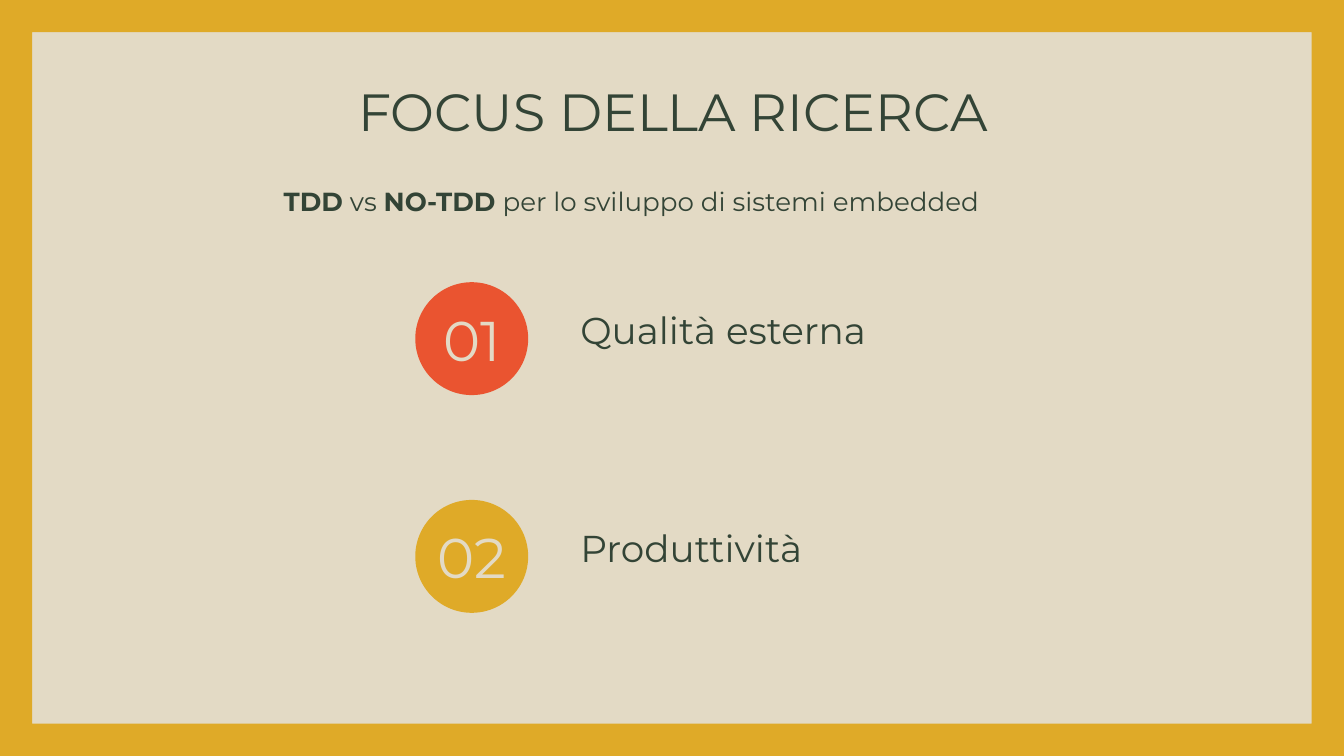
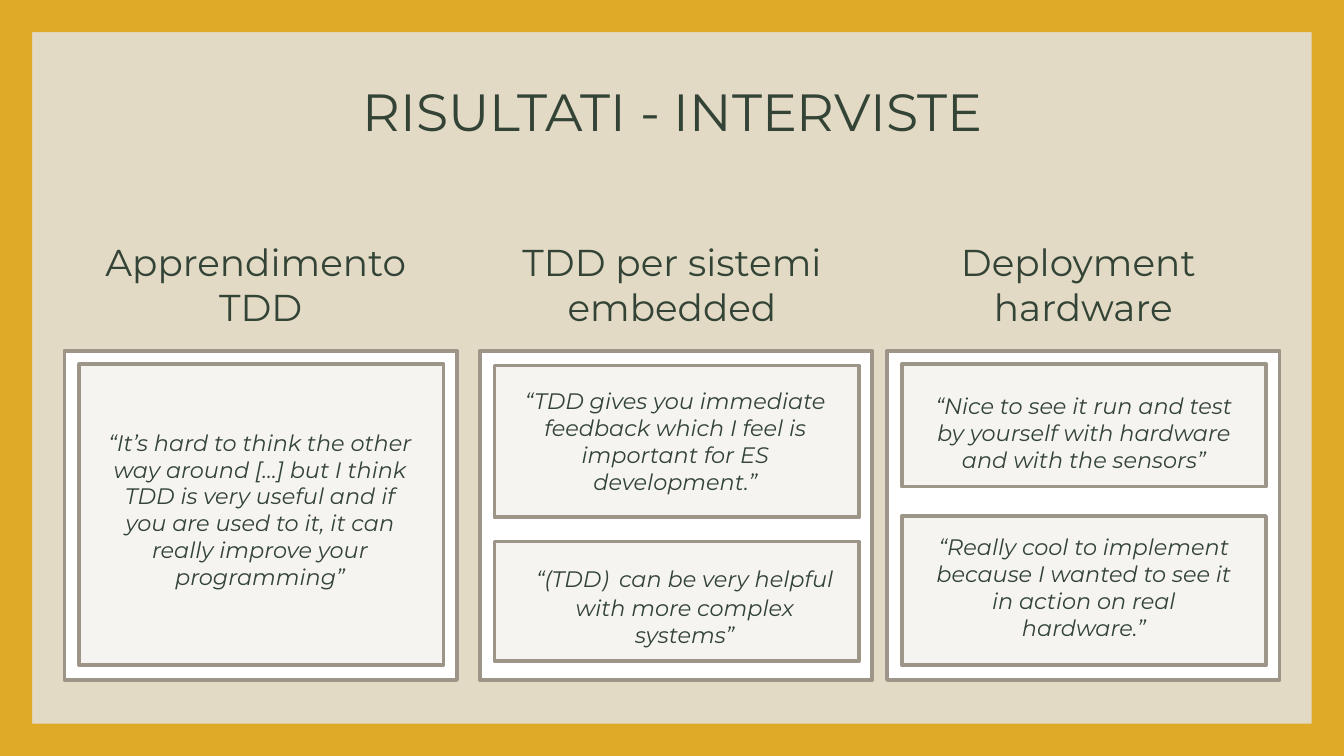
"""Build two slides on the TDD study: research focus and interview results."""
from pptx import Presentation
from pptx.dml.color import RGBColor
from pptx.enum.shapes import MSO_SHAPE
from pptx.enum.text import MSO_ANCHOR, PP_ALIGN
from pptx.util import Inches, Pt

RECTANGLE, CIRCLE, FRAME = MSO_SHAPE.RECTANGLE, MSO_SHAPE.OVAL, MSO_SHAPE.FRAME
TOP, MIDDLE, BOTTOM = MSO_ANCHOR.TOP, MSO_ANCHOR.MIDDLE, MSO_ANCHOR.BOTTOM
LEFT, CENTER = PP_ALIGN.LEFT, PP_ALIGN.CENTER

FONT = "Montserrat"
COLORS = {
    "sand": "E3DAC5",
    "gold": "DFAA28",
    "coral": "EA5430",
    "ink": "334436",
    "white": "FFFFFF",
    "quote": "F6F4F1",
    "border": "9D9587",
}
SLIDE_W = 10
SLIDE_H = SLIDE_W * 9 / 16
FRAME_WIDTH = 0.24
BADGE_SIZE = 0.84
COLUMN_W, PANEL_TOP, PANEL_H = 2.92, 2.61, 2.45
QUOTE_INSET, QUOTE_W, QUOTE_TEXT_W = 0.11, 2.71, 2.51

FOCUS_POINTS = [
    ("01", "Qualità esterna", "coral", 2.1),
    ("02", "Produttività", "gold", 3.72),
]

# Column: heading left, panel left, heading paragraphs, quotes.
# Quote: card top, card height, text left, text top, text height, runs.
INTERVIEWS = [
    (0.48, 0.48, ["Apprendimento ", "TDD"], [
        (2.71, 2.24, 0.68, 3.09, 1.38, [
            ("“It’s hard to think the other way around […] but I think TDD is very "
             "useful and if you are used to it, it can really improve your "
             "programming”", {})]),
    ]),
    (3.54, 3.57, ["TDD per sistemi embedded"], [
        (2.72, 1.13, 3.77, 2.78, 0.92, [
            ("“TDD gives you immediate feedback which I feel is important for ES "
             "development.”", {})]),
        (4.03, 0.89, 3.84, 3.99, 0.86, [
            ("“(TDD)", {}),
            (" ", {"size": 20, "italic": False}),
            ("can be very helpful with more complex systems”", {})]),
    ]),
    (6.6, 6.6, ["Deployment ", "hardware"], [
        (2.71, 0.91, 6.81, 2.82, 0.78, [
            ("“Nice to see it run and test by yourself with hardware and with the "
             "sensors”", {})]),
        (3.84, 1.11, 6.81, 3.87, 0.89, [
            ("“Really cool to implement because I wanted to see it in action on "
             "real hardware.”", {})]),
    ]),
]


def rgb(name):
    """Return the palette colour with this name."""
    return RGBColor.from_string(COLORS[name])


def write(frame, paragraphs, size, color="ink", align=CENTER, anchor=TOP,
          italic=False, side_inset=0.1):
    """Fill a text frame with paragraphs, each a list of (text, style) runs."""
    frame.word_wrap = True
    frame.vertical_anchor = anchor
    frame.margin_left = frame.margin_right = Inches(side_inset)
    frame.margin_top = frame.margin_bottom = Inches(0.1)
    for index, runs in enumerate(paragraphs):
        paragraph = frame.add_paragraph() if index else frame.paragraphs[0]
        paragraph.alignment = align
        for text, style in runs:
            run = paragraph.add_run()
            run.text = text
            run.font.name = FONT
            run.font.size = Pt(style.get("size", size))
            run.font.bold = style.get("bold", False)
            run.font.italic = style.get("italic", italic)
            run.font.color.rgb = rgb(color)


def add_text(slide, box, paragraphs, size, **options):
    """Add a text box at box = (left, top, width, height)."""
    textbox = slide.shapes.add_textbox(*map(Inches, box))
    write(textbox.text_frame, paragraphs, size, **options)


def add_block(slide, kind, box, fill, border=None):
    """Add a flat preset shape, outlined only when a border colour is given."""
    block = slide.shapes.add_shape(kind, *map(Inches, box))
    block.shadow.inherit = False
    block.fill.solid()
    block.fill.fore_color.rgb = rgb(fill)
    if border:
        block.line.color.rgb = rgb(border)
        block.line.width = Pt(2)
    else:
        block.line.fill.background()
    return block


def add_framed_slide(deck, title):
    """Add a slide with the sand background, gold frame and centred title."""
    slide = deck.slides.add_slide(deck.slide_layouts[6])
    slide.background.fill.solid()
    slide.background.fill.fore_color.rgb = rgb("sand")
    frame = add_block(slide, FRAME, (0, 0, SLIDE_W, SLIDE_H), "gold")
    frame.adjustments[0] = FRAME_WIDTH / SLIDE_H
    add_text(slide, (0.79, 0.49, 8.43, 0.63), [[(title, {})]], 28)
    return slide


def add_focus_point(slide, number, label, fill, top):
    """Add a numbered badge with its label to the right."""
    badge = add_block(slide, CIRCLE, (3.09, top, BADGE_SIZE, BADGE_SIZE), fill)
    write(badge.text_frame, [[(number, {})]], 30, color="sand", anchor=MIDDLE,
          side_inset=0)
    add_text(slide, (4.22, top + 0.22, 5.73, 0.4), [[(label, {})]], 20,
             align=LEFT, anchor=BOTTOM)


def add_interview_column(slide, heading_left, panel_left, heading, quotes):
    """Add a heading above a white panel of quote cards."""
    add_text(slide, (heading_left, 1.8, COLUMN_W, 0.63),
             [[(line, {})] for line in heading], 20, anchor=MIDDLE)
    add_block(slide, RECTANGLE, (panel_left, PANEL_TOP, COLUMN_W, PANEL_H),
              "white", "border")
    for card_top, card_h, text_left, text_top, text_h, runs in quotes:
        add_block(slide, RECTANGLE,
                  (panel_left + QUOTE_INSET, card_top, QUOTE_W, card_h),
                  "quote", "border")
        add_text(slide, (text_left, text_top, QUOTE_TEXT_W, text_h), [runs], 12,
                 italic=True)


def build_focus(deck):
    """Build the research focus slide."""
    slide = add_framed_slide(deck, "FOCUS DELLA RICERCA")
    for point in FOCUS_POINTS:
        add_focus_point(slide, *point)
    comparison = [
        ("TDD", {"bold": True}),
        (" vs ", {}),
        ("NO-TDD", {"bold": True}),
        (" per lo sviluppo di sistemi embedded", {}),
    ]
    add_text(slide, (0.97, 1.14, 7.46, 0.71), [comparison], 14, anchor=MIDDLE)


def build_interviews(deck):
    """Build the interview results slide."""
    slide = add_framed_slide(deck, "RISULTATI - INTERVISTE")
    for column in INTERVIEWS:
        add_interview_column(slide, *column)


def main():
    """Build and save the deck."""
    deck = Presentation()
    deck.slide_width, deck.slide_height = Inches(SLIDE_W), Inches(SLIDE_H)
    build_focus(deck)
    build_interviews(deck)
    deck.save("out.pptx")


if __name__ == "__main__":
    main()
